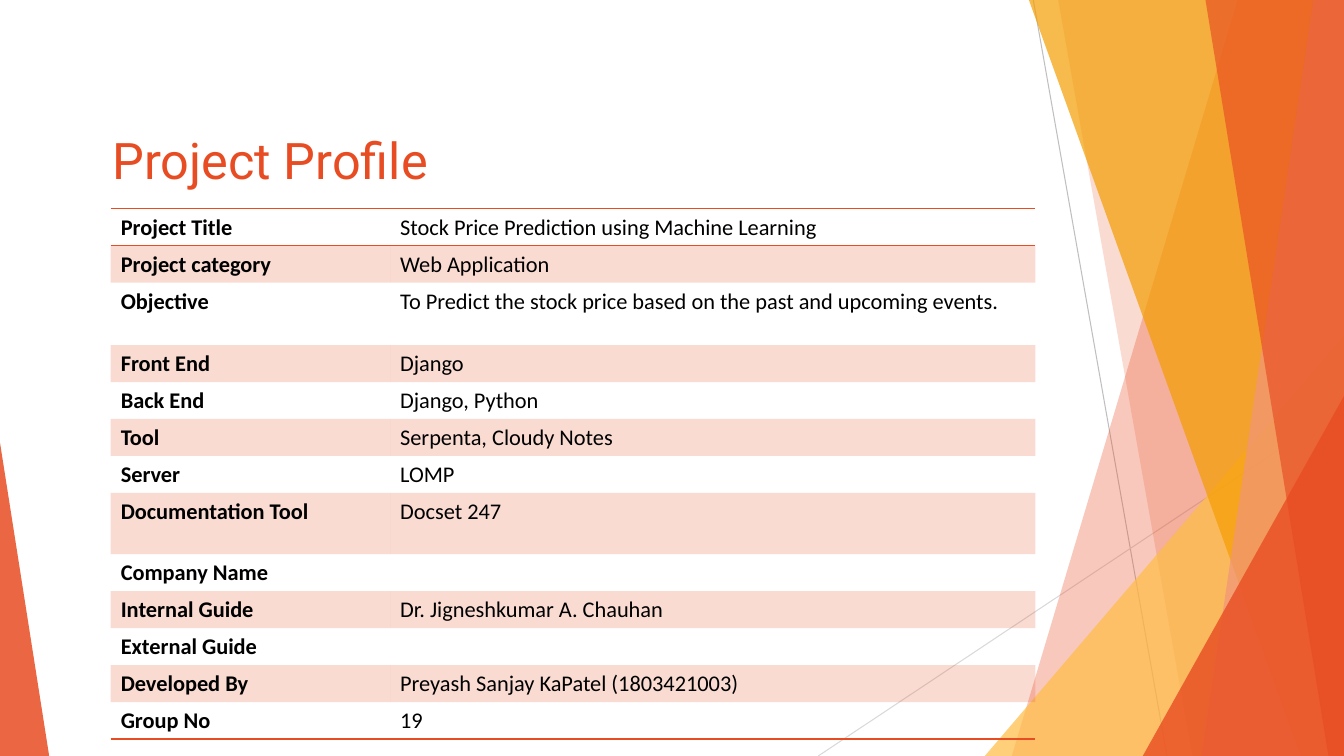
import pptx
import pptx.dml.color
import pptx.enum.shapes
import pptx.enum.text
import pptx.oxml
import pptx.oxml.ns
import pptx.util
from pptx.util import Cm

SLIDE_WIDTH, SLIDE_HEIGHT = 33.87, 19.05
ORANGE, GOLD, AMBER, SALMON = "E84C22", "FFBD47", "F49D00", "F1947A"
BLACK = "000000"
ROW_HEIGHT = 0.93
TALL_ROWS = {"Objective": 1.57, "Documentation Tool": 1.54}
LABEL_FORMAT = {"name": "Calibri", "size": pptx.util.Pt(16), "bold": True}
DETAIL_FORMAT = {**LABEL_FORMAT, "bold": False}
TITLE_FORMAT = {"name": "Roboto", "size": pptx.util.Pt(36), "bold": False}

PROFILE = [
    ("Project Title", "Stock Price Prediction using Machine Learning"),
    ("Project category", "Web Application"),
    ("Objective", "To Predict the stock price based on the past and upcoming events."),
    ("Front End", "Django"),
    ("Back End", "Django, Python"),
    ("Tool", "Serpenta, Cloudy Notes"),
    ("Server", "LOMP"),
    ("Documentation Tool", "Docset 247"),
    ("Company Name", ""),
    ("Internal Guide", "Dr. Jigneshkumar A. Chauhan"),
    ("External Guide", ""),
    ("Developed By", "Preyash Sanjay KaPatel (1803421003)"),
    ("Group No", "19"),
]


def rgb(hex_colour):
    return pptx.dml.color.RGBColor.from_string(hex_colour)


def add_child(parent, tag, **attributes):
    child = pptx.oxml.parse_xml(f"<a:{tag} {pptx.oxml.ns.nsdecls('a')}/>")
    for key, value in attributes.items():
        child.set(key, str(value))
    parent.append(child)
    return child


def tint(fill, element, colour, opacity):
    """Fill with a colour at an opacity given in percent."""
    fill.solid()
    fill.fore_color.rgb = rgb(colour)
    swatch = next(element.iter(pptx.oxml.ns.qn("a:srgbClr")))
    add_child(swatch, "alpha", val=opacity * 1000)


def write(paragraph, text, text_format, colour):
    if not text:
        size = int(text_format["size"].pt * 100)
        add_child(paragraph._p, "endParaRPr", sz=size)
        return
    run = paragraph.add_run()
    run.text = text
    for attribute, value in text_format.items():
        setattr(run.font, attribute, value)
    run.font.color.rgb = rgb(colour)


def finish_facet(facet, colour, opacity):
    facet.shadow.inherit = False
    facet.line.fill.background()
    tint(facet.fill, facet._element.spPr, colour, opacity)


def add_ray(slide, start, end, colour):
    ray = slide.shapes.add_connector(
        pptx.enum.shapes.MSO_CONNECTOR.STRAIGHT, *map(Cm, start + end))
    ray.line.color.rgb = rgb(colour)
    ray.line.width = pptx.util.Pt(0.75)
    add_child(ray._element.spPr, "effectLst")


def add_shard(slide, box, top_reach, bottom_reach, colour, opacity):
    """Full-height facet; each reach is measured from the right edge of the box."""
    left, top, width, height = box
    right, bottom = left + width, top + height
    outline = slide.shapes.build_freeform(Cm(right - top_reach), Cm(top))
    outline.add_line_segments([(Cm(right), Cm(top)), (Cm(right), Cm(bottom)),
                               (Cm(right - bottom_reach), Cm(bottom))])
    finish_facet(outline.convert_to_shape(), colour, opacity)


def add_wedge(slide, box, width, height, apex, colour, opacity):
    """Right triangle in a bottom corner of the box: apex 0 is left, 1 is right."""
    left = box[0] + apex * (box[2] - width)
    top = box[1] + box[3] - height
    wedge = slide.shapes.add_shape(
        pptx.enum.shapes.MSO_SHAPE.ISOSCELES_TRIANGLE,
        Cm(left), Cm(top), Cm(width), Cm(height))
    wedge.adjustments[0] = apex
    finish_facet(wedge, colour, opacity)


def add_backdrop(slide, box):
    left, top, width, height = box
    right, bottom = left + width, top + height
    add_ray(slide, (right - 7.83, top), (right - 4.46, bottom), "BFBFBF")
    add_ray(slide, (right, top + 10.24), (right - 13.25, bottom), "D9D9D9")
    facets = [
        (add_shard, 2.68, 8.37, ORANGE, 30),
        (add_shard, 7.2, 3.82, ORANGE, 20),
        (add_wedge, 9.05, 10.59, 1, GOLD, 72),
        (add_shard, 7.94, 1.08, AMBER, 70),
        (add_shard, 0.77, 3.59, SALMON, 70),
        (add_shard, 3.49, 0.39, ORANGE, 65),
        (add_wedge, 5.07, 9.07, 1, ORANGE, 80),
        (add_wedge, 1.24, 7.9, 0, ORANGE, 85),
    ]
    for add_facet, *details in facets:
        add_facet(slide, box, *details)


def add_title(slide, box):
    title = slide.shapes.add_textbox(*map(Cm, box)).text_frame
    title.word_wrap = True
    write(title.paragraphs[0], "Project Profile", TITLE_FORMAT, ORANGE)


def rule_cell(cell, ruled_sides):
    """Draw orange rules on the named sides and none on the others."""
    properties = cell._tc.get_or_add_tcPr()
    for position, side in enumerate("LRTB"):
        border = add_child(properties, f"ln{side}", w=12700)
        if side in ruled_sides:
            add_child(add_child(border, "solidFill"), "srgbClr", val=ORANGE)
        else:
            add_child(border, "noFill")
        properties.insert(position, border)


def add_profile_table(slide, box):
    left, top, width, height = box
    table = slide.shapes.add_table(
        len(PROFILE), 2, Cm(left), Cm(top), Cm(width), Cm(height)).table
    table.first_row = table.horz_banding = False
    label_width = 7.04
    table.columns[0].width = Cm(label_width)
    table.columns[1].width = Cm(width - label_width)
    ruled_sides = {0: "TB", 1: "T", len(PROFILE) - 1: "B"}
    for index, entry in enumerate(PROFILE):
        table.rows[index].height = Cm(TALL_ROWS.get(entry[0], ROW_HEIGHT))
        formats = (LABEL_FORMAT, DETAIL_FORMAT)
        for cell, text, text_format in zip(table.rows[index].cells, entry, formats):
            write(cell.text_frame.paragraphs[0], text, text_format, BLACK)
            if index % 2:
                tint(cell.fill, cell._tc.get_or_add_tcPr(), ORANGE, 20)
            else:
                cell.fill.background()
            rule_cell(cell, ruled_sides.get(index, ""))
        if entry[0] == "Objective":
            objective = table.cell(index, 1).text_frame.paragraphs[0]
            objective.alignment = pptx.enum.text.PP_ALIGN.JUSTIFY


def main():
    presentation = pptx.Presentation()
    presentation.slide_width = Cm(SLIDE_WIDTH)
    presentation.slide_height = Cm(SLIDE_HEIGHT)
    slide = presentation.slides.add_slide(presentation.slide_layouts[6])
    add_backdrop(slide, (0, 0, SLIDE_WIDTH, SLIDE_HEIGHT))
    add_title(slide, (2.59, 3.12, 16.99, 1.8))
    add_profile_table(slide, (2.79, 5.26, 23.3, 13.36))
    presentation.save("out.pptx")


if __name__ == "__main__":
    main()
